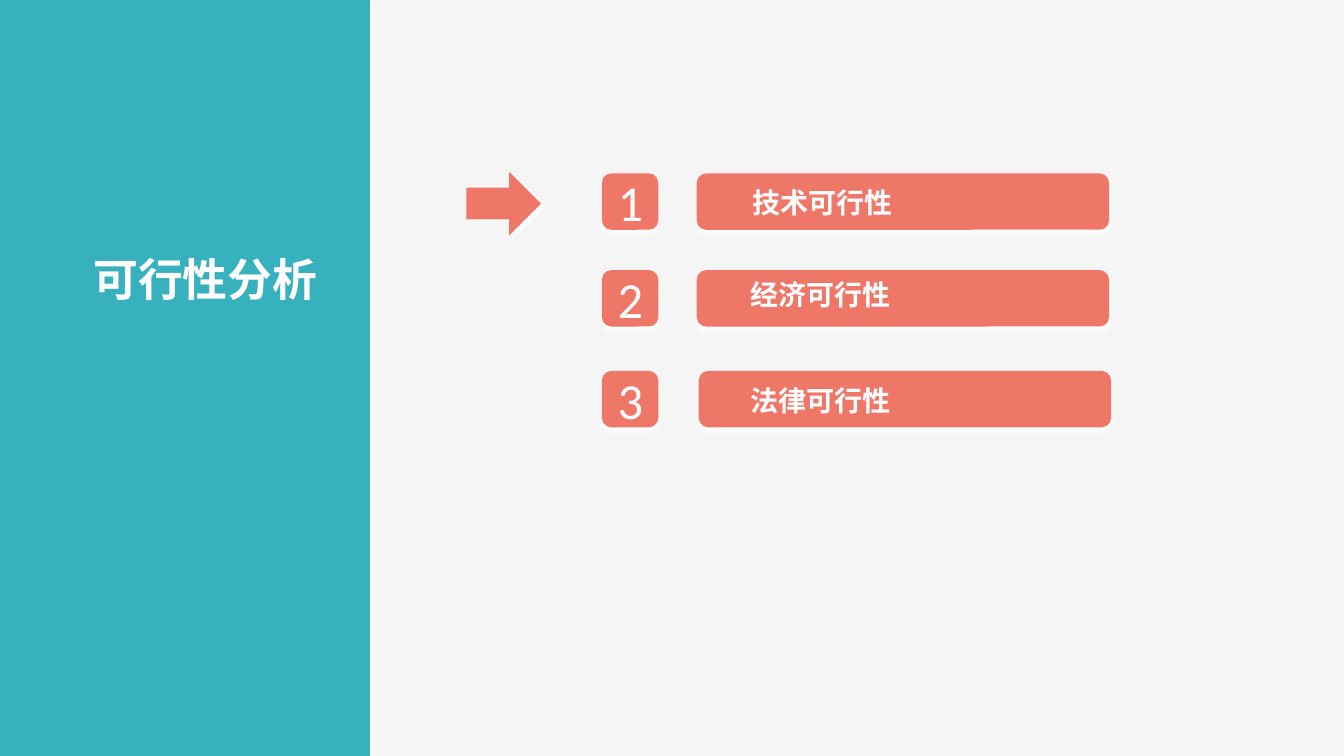
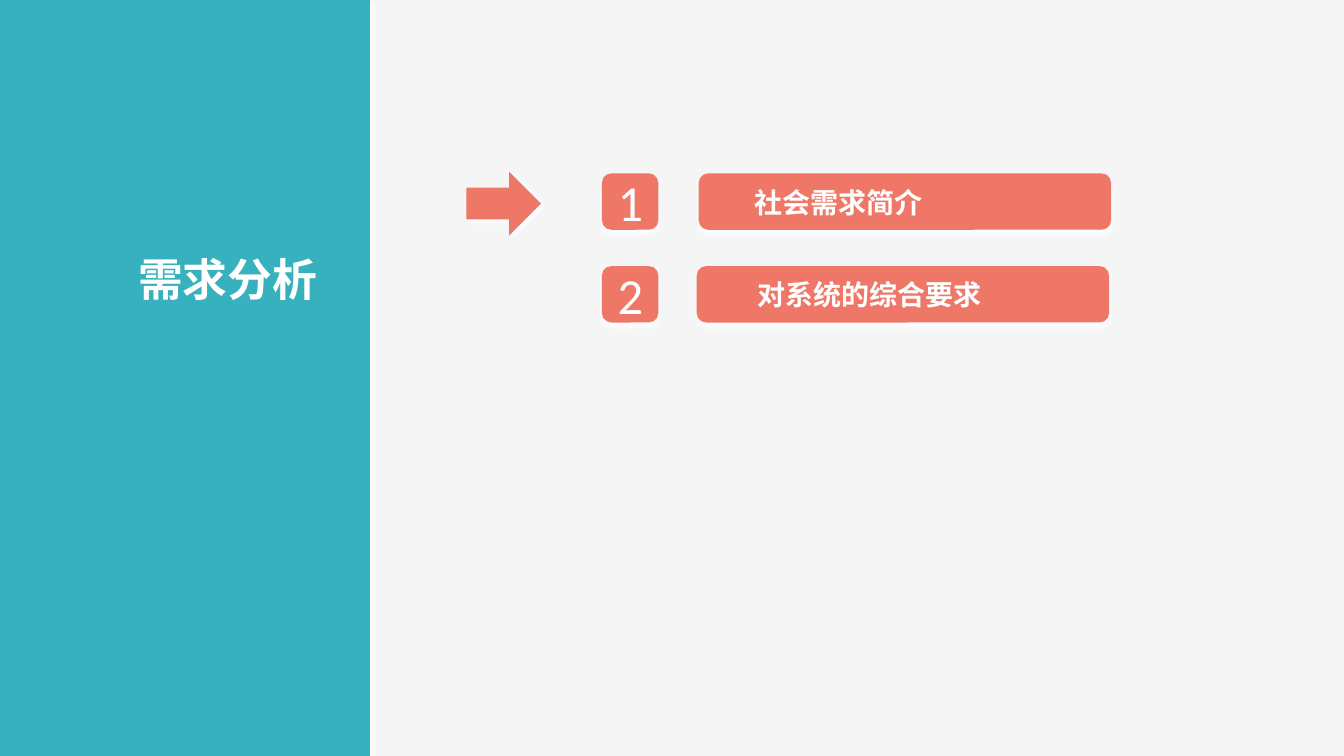
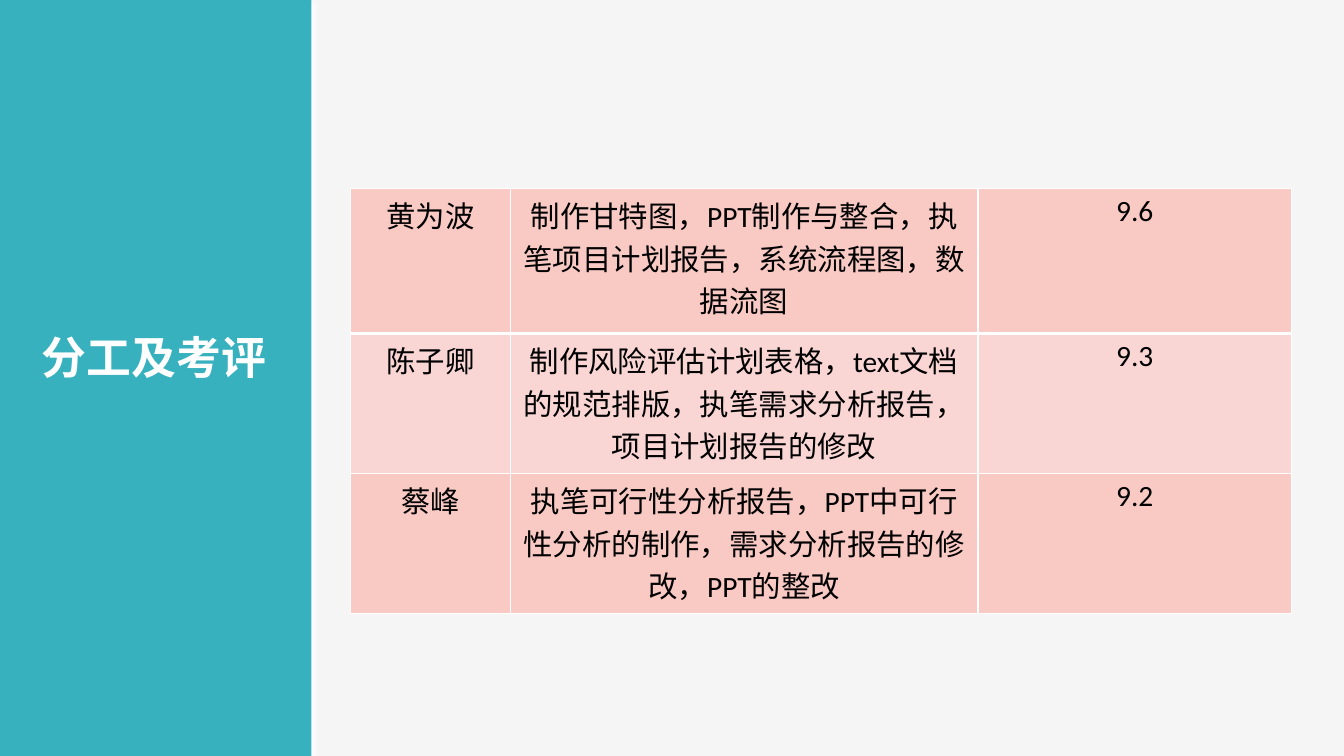
from lxml import etree
from pptx import Presentation
from pptx.dml.color import RGBColor
from pptx.enum.shapes import MSO_SHAPE
from pptx.enum.text import MSO_ANCHOR, MSO_AUTO_SIZE, PP_ALIGN
from pptx.oxml.ns import qn
from pptx.util import Inches, Pt

RECT, ROUNDED = MSO_SHAPE.RECTANGLE, MSO_SHAPE.ROUNDED_RECTANGLE
DOWN_ARROW = MSO_SHAPE.DOWN_ARROW
LEFT, CENTER, RIGHT = PP_ALIGN.LEFT, PP_ALIGN.CENTER, PP_ALIGN.RIGHT
MIDDLE = MSO_ANCHOR.MIDDLE
GROW = MSO_AUTO_SIZE.SHAPE_TO_FIT_TEXT

COLORS = {
    "background": "F5F5F5",
    "panel": "38B1BF",
    "accent": "EF7768",
    "row_odd": "F9C9C3",
    "row_even": "F9D6D4",
    "light": "FFFFFF",
    "dark": "000000",
}
LATIN, CJK = "Calibri", "Noto Sans CJK SC"


def rgb(name):
    """Return a palette colour."""
    return RGBColor.from_string(COLORS[name])


def add_solid_fill(parent, name):
    """Append a solid fill to an XML element and return its colour element."""
    fill = etree.SubElement(parent, qn("a:solidFill"))
    return etree.SubElement(fill, qn("a:srgbClr"), val=COLORS[name])


class Deck:
    """The shared style and the slide being filled."""

    def __init__(self):
        self.prs = Presentation()
        self.prs.slide_width, self.prs.slide_height = Inches(13.33), Inches(7.5)
        self.slide = None

    def new_slide(self):
        """Start a blank slide on the shared background."""
        self.slide = self.prs.slides.add_slide(self.prs.slide_layouts[6])
        fill = self.slide.background.fill
        fill.solid()
        fill.fore_color.rgb = rgb("background")

    def style_text(self, frame, text, size, color="light", bold=False, align=LEFT, latin=CJK):
        """Write one formatted paragraph into a text frame."""
        frame.text = text
        paragraph = frame.paragraphs[0]
        paragraph.alignment = align
        for run in paragraph.runs:
            font = run.font
            font.size, font.bold, font.name = Pt(size), bold, latin
            font.color.rgb = rgb(color)
            etree.SubElement(run._r.get_or_add_rPr(), qn("a:ea"), typeface=CJK)

    def set_margins(self, frame):
        """Apply the shared inner margins and wrapping."""
        frame.margin_left = frame.margin_right = Inches(0.13)
        frame.margin_top = frame.margin_bottom = Inches(0.07)
        frame.word_wrap = True

    def block(self, kind, left, top, width, height, color="accent", angle=90, parent=None):
        """Add a filled preset shape with a soft shadow falling at an angle."""
        shapes = (parent or self.slide).shapes
        shape = shapes.add_shape(kind, Inches(left), Inches(top), Inches(width), Inches(height))
        shape.fill.solid()
        shape.fill.fore_color.rgb = rgb(color)
        shape.line.fill.background()
        shape.shadow.inherit = False
        effects = shape._element.spPr.find(qn("a:effectLst"))
        shadow = etree.SubElement(
            effects, qn("a:outerShdw"), blurRad=str(Pt(4)), dist=str(Pt(3)),
            dir=str(angle * 60000), algn="ctr", rotWithShape="0")
        etree.SubElement(add_solid_fill(shadow, "dark"), qn("a:alpha"), val="40000")
        return shape

    def label(self, text, left, top, width, height, size, align=LEFT, parent=None):
        """Add a bold white text box."""
        shapes = (parent or self.slide).shapes
        box = shapes.add_textbox(Inches(left), Inches(top), Inches(width), Inches(height))
        self.set_margins(box.text_frame)
        box.text_frame.auto_size = GROW
        self.style_text(box.text_frame, text, size, bold=True, align=align)

    def title_panel(self, title, width=3.79, left=0.21, top=2.43):
        """Add the side panel with the slide title."""
        self.block(RECT, -0.12, 0, width, 7.5, "panel", angle=45)
        self.label(title, left, top, 3.07, 0.67, 32, RIGHT)

    def agenda_item(self, number, text, top, bar_left, text_left, text_top):
        """Add a numbered tile and its topic bar."""
        tile = self.block(ROUNDED, 5.97, top, 0.56, 0.56)
        self.set_margins(tile.text_frame)
        tile.text_frame.vertical_anchor = MIDDLE
        self.style_text(tile.text_frame, str(number), 36, align=CENTER, latin=LATIN)
        topic = self.slide.shapes.add_group_shape()
        self.block(ROUNDED, bar_left, top, 4.09, 0.56, parent=topic)
        self.label(text, text_left, text_top, 2.9, 0.47, 20, parent=topic)

    def agenda(self, title, items):
        """Build a section slide with its topics and a pointer to the first."""
        self.new_slide()
        for number, item in enumerate(items, 1):
            self.agenda_item(number, *item)
        self.title_panel(title)
        self.block(DOWN_ARROW, 4.68, 1.65, 0.63, 0.74, angle=45).rotation = 270

    def cell_borders(self, cell, widths):
        """Draw white borders; widths maps a side (L, R, T, B) to points."""
        properties = cell._tc.get_or_add_tcPr()
        for position, (side, width) in enumerate(widths.items()):
            line = etree.Element(qn("a:ln" + side), w=str(Pt(width)))
            add_solid_fill(line, "light")
            properties.insert(position, line)

    def table(self, rows, left, top, widths, heights):
        """Add a banded table with a heavier rule under its first row."""
        grid = self.slide.shapes.add_table(
            len(rows), len(widths), Inches(left), Inches(top),
            Inches(sum(widths)), Inches(sum(heights))).table
        for column, width in zip(grid.columns, widths):
            column.width = Inches(width)
        for r, (values, height) in enumerate(zip(rows, heights)):
            grid.rows[r].height = Inches(height)
            for c, value in enumerate(values):
                cell = grid.cell(r, c)
                cell.fill.solid()
                cell.fill.fore_color.rgb = rgb("row_even" if r % 2 else "row_odd")
                self.style_text(cell.text_frame, value, 21, "dark", align=CENTER, latin=LATIN)
                self.cell_borders(cell, {
                    "L": 1, "R": 1, "T": 3 if r == 1 else 1, "B": 3 if r == 0 else 1})


deck = Deck()
deck.agenda("可行性分析", [
    ("技术可行性", 1.72, 6.91, 7.33, 1.77),
    ("经济可行性", 2.68, 6.91, 7.31, 2.68),
    ("法律可行性", 3.68, 6.93, 7.31, 3.73),
])
deck.agenda("需求分析", [
    ("社会需求简介", 1.72, 6.93, 7.35, 1.77),
    ("对系统的综合要求", 2.64, 6.91, 7.38, 2.68),
])

deck.new_slide()
deck.title_panel("分工及考评", width=3.21, left=-0.3, top=3.2)
deck.table([
    ("黄为波", "制作甘特图，PPT制作与整合，执笔项目计划报告，系统流程图，数据流图", "9.6"),
    ("陈子卿", "制作风险评估计划表格，text文档的规范排版，执笔需求分析报告，项目计划报告的修改", "9.3"),
    ("蔡峰", "执笔可行性分析报告，PPT中可行性分析的制作，需求分析报告的修改，PPT的整改", "9.2"),
], 3.48, 1.87, widths=(1.58, 4.64, 3.11), heights=(1.44, 1.39, 1.39))

deck.prs.save("out.pptx")
